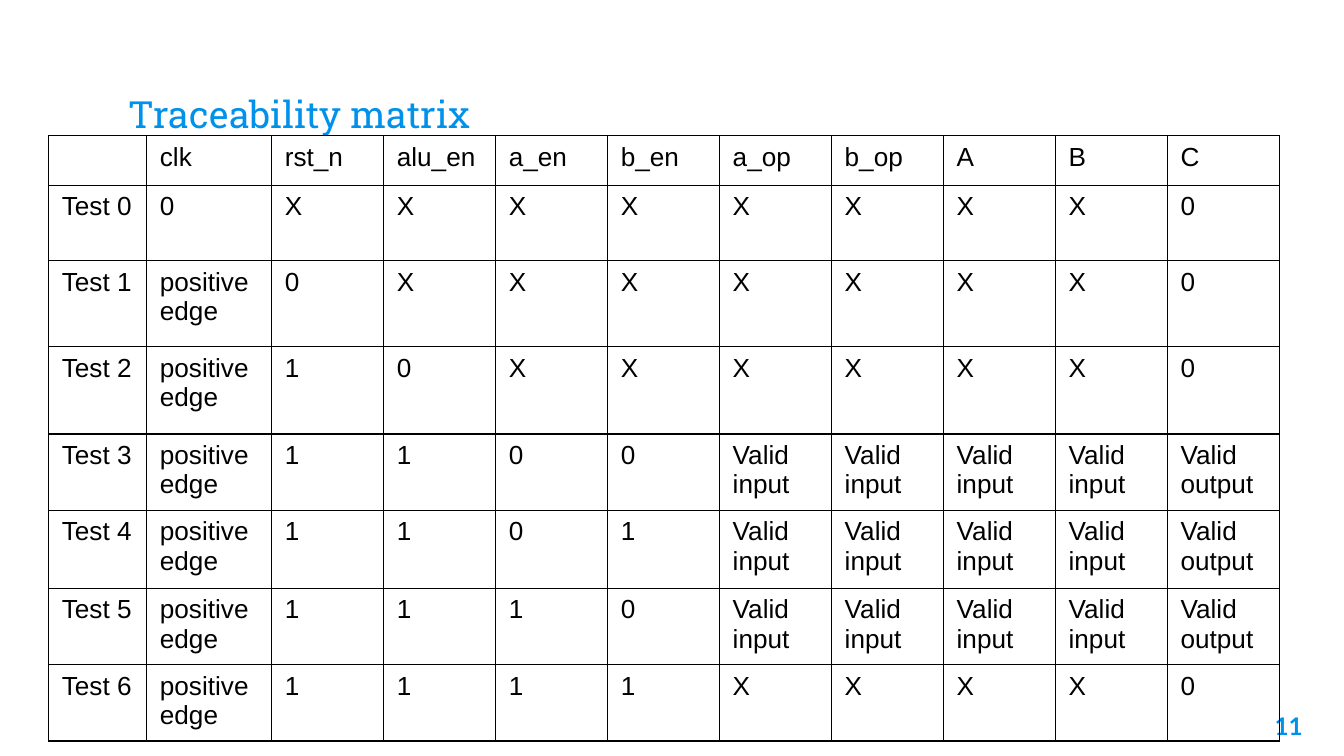
import pptx
import pptx.dml.color
import pptx.enum.text
import pptx.oxml.ns
import pptx.util
import lxml.etree

inch = pptx.util.Inches
qn = pptx.oxml.ns.qn
align = pptx.enum.text.PP_ALIGN
anchor = pptx.enum.text.MSO_ANCHOR

theme = {
    "title": {"name": "Roboto Slab", "size": 20, "color": "0091EA", "bold": False},
    "number": {"name": "Lato", "size": 13, "color": "0091EA", "bold": True},
    "cell": {"name": "Arial", "size": 14, "color": "000000", "bold": False},
    "border": {"color": "000000", "width": 0.75},
}


def write(para, text, style):
    span = para.add_run()
    span.text = text
    values = {"name": style["name"], "size": pptx.util.Pt(style["size"]), "bold": style["bold"]}
    for key, value in values.items():
        setattr(span.font, key, value)
    span.font.color.rgb = pptx.dml.color.RGBColor.from_string(style["color"])


def add_border(cell):
    props = cell._tc.get_or_add_tcPr()
    for side in ("lnL", "lnR", "lnT", "lnB"):
        width = pptx.util.Pt(theme["border"]["width"])
        line = lxml.etree.SubElement(props, qn("a:" + side), w=str(int(width)))
        fill = lxml.etree.SubElement(line, qn("a:solidFill"))
        lxml.etree.SubElement(fill, qn("a:srgbClr"), val=theme["border"]["color"])


deck = pptx.Presentation()
deck.slide_width = inch(10)
deck.slide_height = deck.slide_width * 9 // 16
page = deck.slides.add_slide(deck.slide_layouts[6])

labels = [
    ("Traceability matrix", "title", (0.86, 0.34, 8.28, 0.77), anchor.BOTTOM, align.LEFT),
    ("11", "number", (9.19, 5.19, 0.6, 0.43), anchor.TOP, align.RIGHT),
]
for text, style, place, vertical, horizontal in labels:
    frame = page.shapes.add_textbox(*map(inch, place)).text_frame
    layout = {"word_wrap": True, "vertical_anchor": vertical}
    layout.update({"margin_" + side: inch(0.1) for side in ("left", "top", "right", "bottom")})
    for key, value in layout.items():
        setattr(frame, key, value)
    frame.paragraphs[0].alignment = horizontal
    write(frame.paragraphs[0], text, theme[style])

edge = "positive edge"
unknown = ["X"] * 4 + ["0"]
valid = ["Valid input"] * 4 + ["Valid output"]
tests = [
    ["0", "X", "X", "X", "X"] + unknown,
    [edge, "0", "X", "X", "X"] + unknown,
    [edge, "1", "0", "X", "X"] + unknown,
    [edge, "1", "1", "0", "0"] + valid,
    [edge, "1", "1", "0", "1"] + valid,
    [edge, "1", "1", "1", "0"] + valid,
    [edge, "1", "1", "1", "1"] + unknown,
]
header = ["", "clk", "rst_n", "alu_en", "a_en", "b_en", "a_op", "b_op", "A", "B", "C"]
matrix = [header] + [[f"Test {index}"] + values for index, values in enumerate(tests)]
table_width = 9.16
first_widths = [0.73, 0.93]
signal_width = (table_width - sum(first_widths)) / 9
widths = first_widths + [signal_width] * 9
heights = [0.37, 0.56, 0.64, 0.65, 0.56, 0.58, 0.57, 0.56]

table = page.shapes.add_table(
    len(heights), len(widths), inch(0.36), inch(1.01), inch(table_width), inch(sum(heights))
).table
table.first_row = table.horz_banding = False
for column, width in zip(table.columns, widths):
    column.width = inch(width)
for row, height, texts in zip(table.rows, heights, matrix):
    row.height = inch(height)
    for cell, text in zip(row.cells, texts):
        add_border(cell)
        cell.fill.background()
        para = cell.text_frame.paragraphs[0]
        if text:
            write(para, text, theme["cell"])
        else:
            size = str(theme["cell"]["size"] * 100)
            lxml.etree.SubElement(para._p, qn("a:endParaRPr"), sz=size)

deck.save("out.pptx")
